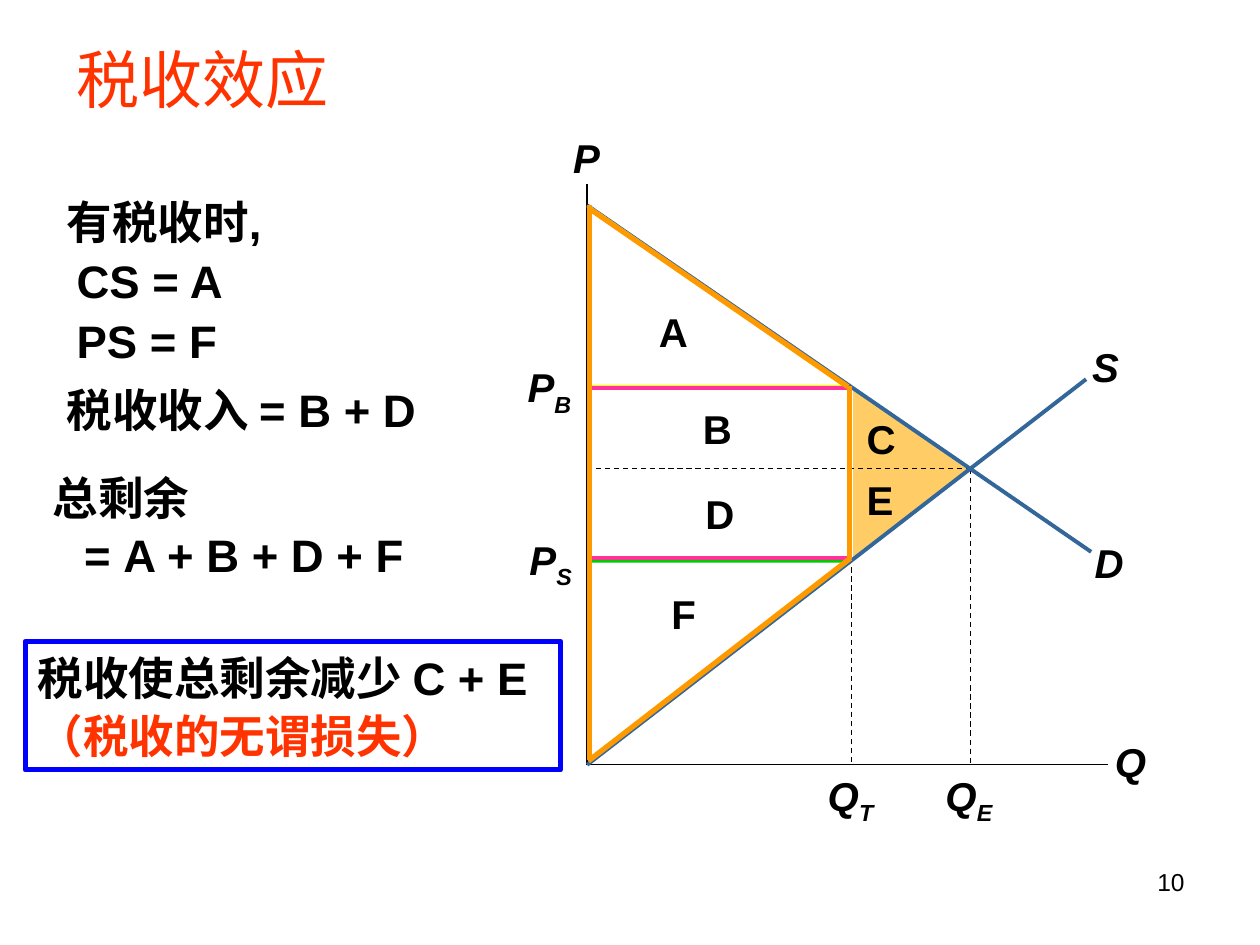
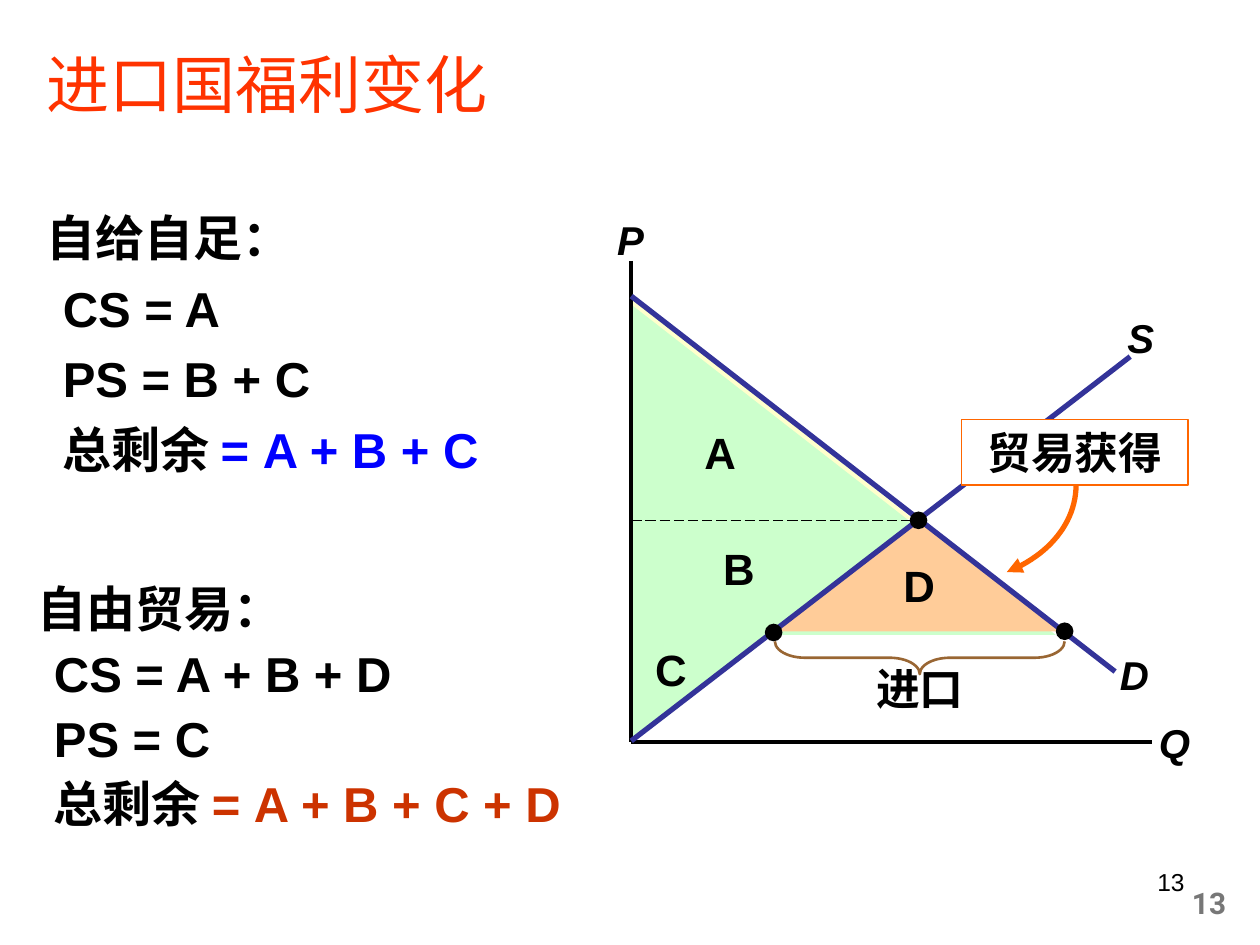
"""Build two welfare slides: the effects of a tax and the gains of an importing country."""
from lxml.etree import SubElement
from pptx import Presentation
from pptx.dml.color import RGBColor
from pptx.enum.dml import MSO_LINE
from pptx.enum.shapes import MSO_CONNECTOR, MSO_SHAPE
from pptx.enum.text import MSO_ANCHOR, PP_ALIGN
from pptx.oxml.ns import qn
from pptx.util import Inches, Pt

HUE = {
    "black": "000000", "white": "FFFFFF", "grey": "777777", "red": "FF3300",
    "rust": "CC3300", "blue": "0000FF", "steel": "336699", "navy": "333399",
    "gold": "FFCC66", "orange": "FF9900", "flame": "FF6600", "peach": "FFCC99",
    "yellow": "FFFF00", "cream": "FFFFCC", "green": "00CC00", "mint": "CCFFCC",
    "pink": "FF3399", "brown": "996633",
}
LATIN, HAN = "Arial", "Noto Sans CJK SC"
COLS, ROWS = 100, 75
deck = Presentation()
deck.slide_width, deck.slide_height = Inches(10), Inches(7.5)
CELL = deck.slide_width / COLS


def stroke(page, ends, hue="black", wide=0.75, dash=None):
    x1, y1, x2, y2 = [round(v * CELL) for v in ends]
    line = page.shapes.add_connector(MSO_CONNECTOR.STRAIGHT, x1, y1, x2, y2)
    line.line.color.rgb = RGBColor.from_string(HUE[hue])
    line.line.width = Pt(wide)
    if dash:
        line.line.dash_style = dash
    SubElement(line._element.spPr, qn("a:effectLst"))


def block(page, box, paras=(), size=23, kind=None, fill=None, edge=None, wide=0.75,
          bold=True, face=LATIN, align=PP_ALIGN.LEFT, mid=False, pad=(1, 0.5),
          lead=None, gap=0, hang=((0, 0),), flip=False):
    spot = [round(v * CELL) for v in box]
    if kind is None:
        form = page.shapes.add_textbox(*spot)
    else:
        form = page.shapes.add_shape(kind, *spot)
        form.shadow.inherit = False
    for hue, paint in ((fill, form.fill), (edge, form.line.fill)):
        if hue:
            paint.solid()
            paint.fore_color.rgb = RGBColor.from_string(HUE[hue])
        else:
            paint.background()
    if edge:
        form.line.width = Pt(wide)
    if flip:
        form._element.spPr.xfrm.set("flipV", "1")
    frame = form.text_frame
    frame.word_wrap = True
    frame.vertical_anchor = MSO_ANCHOR.MIDDLE if mid else MSO_ANCHOR.TOP
    frame.margin_left = frame.margin_right = round(pad[0] * CELL)
    frame.margin_top = frame.margin_bottom = round(pad[1] * CELL)
    for i, runs in enumerate(paras):
        para = frame.add_paragraph() if i else frame.paragraphs[0]
        para.alignment = align
        if lead:
            para.line_spacing = lead
        if i:
            para.space_before = Pt(gap)
        left, first = hang[min(i, len(hang) - 1)]
        props = para._p.get_or_add_pPr()
        props.set("marL", str(round(left * CELL)))
        props.set("indent", str(round(first * CELL)))
        for words, hue, *style in runs:
            if words.startswith("\n"):
                para.add_line_break()
            run = para.add_run()
            run.text = words.strip("\n")
            font = run.font
            font.name, font.size, font.bold = face, Pt(size), bold
            font.italic = "slant" in style
            font.color.rgb = RGBColor.from_string(HUE[hue])
            SubElement(run._r.rPr, qn("a:ea"), typeface=HAN)
            if "sub" in style:
                run._r.rPr.set("baseline", "-25000")
    return form


pages = []
for name, box, mid, pad, num in (
    ("税收效应", (5.1, 0, 90, 12.5), True, (1, 0.5), "10"),
    ("进口国福利变化", (2.7, 3.6, 89.8, 8.9), False, (1, 0), "13"),
):
    page = deck.slides.add_slide(deck.slide_layouts[6])
    block(page, box, [[(name, "red")]], 36, bold=False, face=HAN, mid=mid, pad=pad)
    block(page, (71.7, 68.3, 23.3, 5.2), [[(num, "black")]], 14, bold=False,
          align=PP_ALIGN.RIGHT)
    pages.append(page)
tax, trade = pages

# Tax
left, base, top = 46.6, 60.7, 16.3
cut, even = 67.5, 77
buy, mean, sell = 30.7, 37.2, 44.4

loss = block(tax, (65.6, 33, 13.3, 9.1), kind=MSO_SHAPE.ISOSCELES_TRIANGLE, fill="gold")
loss.rotation = 90
loss.adjustments[0] = 0.48

for ends in (
    (cut + 0.1, buy, cut + 0.1, base), (cut, sell, left, sell), (cut, buy, left, buy),
    (left, mean, even, mean), (even, mean, even, base),
):
    stroke(tax, ends, dash=MSO_LINE.DASH)
for ends in ((left, 14.6, left, base), (left, base, 87.9, base)):
    stroke(tax, ends)
for ends in ((left, top, 86.6, 43.8), (left, base, 86.2, 30.1)):
    stroke(tax, ends, "steel", 2.25)

for box, kind, edge, flip in (
    ((46.8, 16.5, 20.4, 14.2), MSO_SHAPE.RIGHT_TRIANGLE, "yellow", False),
    ((46.8, 44.5, 20.5, 15.8), MSO_SHAPE.RIGHT_TRIANGLE, "green", True),
    ((46.8, 30.8, 20.7, 13.5), MSO_SHAPE.RECTANGLE, "pink", False),
):
    block(tax, box, kind=kind, edge=edge, wide=2.25, flip=flip)
for ends in (
    (46.8, top, 46.8, 60.3), (46.7, 60.4, cut, 44.3),
    (67.4, 30.6, 67.4, sell), (46.7, 16.5, 67.3, buy),
):
    stroke(tax, ends, "orange", 3)

for x, y, word in (
    (51.3, 23.9, "A"), (54.8, 31.6, "B"), (67.8, 32.4, "C"),
    (55, 38.3, "D"), (67.8, 37.2, "E"), (52.2, 46.3, "F"),
):
    block(tax, (x, y, 4.1, 4.9), [[(word, "black")]], align=PP_ALIGN.CENTER)
for x, y, wide, word, sub in (
    (40.8, 42, 5.8, "P", "S"), (40.7, 28.3, 5.8, "P", "B"),
    (73.7, base, 6.4, "Q", "E"), (64.3, base, 6.4, "Q", "T"),
):
    block(tax, (x, y, wide, 5.4),
          [[(word, "black", "slant"), (sub, "black", "slant", "sub")]],
          align=PP_ALIGN.CENTER)

for box, words, hang in (
    ((4.3, 14.7, 24.6, 5.9), ["有税收时,"], (0, 0)),
    ((5.1, 19.4, 29.4, 5.9), ["CS = A"], (0, 0)),
    ((5.1, 24.1, 28.2, 5.9), ["PS = F"], (0, 0)),
    ((4.3, 29.6, 32.2, 6.7), ["税收收入 = B + D"], (0, 0)),
    ((3.2, 36.6, 32.4, 12.4), ["总剩余", "\n= A + B + D + F"], (2.5, -2.5)),
):
    block(tax, box, [[(word, "black") for word in words]], 26, lead=1.05, hang=(hang,))
block(tax, (2, 50.9, 42.5, 10.2),
      [[("税收使总剩余减少 C + E", "black"), ("\n（税收的无谓损失）", "red")]],
      26, kind=MSO_SHAPE.RECTANGLE, edge="blue", wide=3, lead=1.05)

# Trade
left, base = 50.1, 58.9
block(trade, (90.8, 69.7, 7.5, 4), [[("13", "grey")]], 17, face="Roboto",
      align=PP_ALIGN.RIGHT)
for box, kind, fill, flip in (
    ((50.2, 41.3, 22.4, 17.3), MSO_SHAPE.RIGHT_TRIANGLE, "cream", True),
    ((50.2, 23.7, 22.3, 17.5), MSO_SHAPE.RIGHT_TRIANGLE, "cream", False),
    ((50, 24.1, 33.8, 26.3), MSO_SHAPE.RIGHT_TRIANGLE, "mint", False),
    ((61.5, 41.2, 22.8, 8.9), MSO_SHAPE.ISOSCELES_TRIANGLE, "peach", False),
    ((50.1, 50.2, 10.9, 8.5), MSO_SHAPE.RIGHT_TRIANGLE, "mint", True),
):
    block(trade, box, kind=kind, fill=fill, flip=flip)

for ends, hue, wide in (
    ((left, 20.7, left, base), "black", 2),
    ((left, base, 91.4, base), "black", 2),
    ((left, 23.5, 88.5, 53.3), "navy", 3),
    ((left, 58.8, 89.7, 28.3), "navy", 3),
):
    stroke(trade, ends, hue, wide)
stroke(trade, (left, 41.3, 73, 41.3), dash=MSO_LINE.LONG_DASH)
for x, y in ((60.7, 49.5), (72.2, 40.6), (83.8, 49.4)):
    block(trade, (x, y, 1.4, 1.4), kind=MSO_SHAPE.OVAL, fill="black")

for x, y, word in (
    (54.8, 33.8, "A"), (56.3, 43, "B"), (70.6, 44.3, "D"), (50.9, 51, "C"),
):
    block(trade, (x, y, 4.7, 4.2), [[(word, "black")]], 25, align=PP_ALIGN.CENTER,
          mid=True, pad=(0, 0))

bend = ((79.9, 45.4), (83.2, 44.1), (85.4, 41.5), (85.4, 38.5))
STEPS = 24
curve = []
for step in range(STEPS + 1):
    t = step / STEPS
    share = ((1 - t) ** 3, 3 * t * (1 - t) ** 2, 3 * t * t * (1 - t), t ** 3)
    curve.append([round(CELL * sum(s * p[axis] for s, p in zip(share, bend)))
                  for axis in (0, 1)])
pen = trade.shapes.build_freeform(*curve[0])
pen.add_line_segments(curve[1:], close=False)
arrow = pen.convert_to_shape()
arrow.shadow.inherit = False
arrow.fill.background()
arrow.line.color.rgb = RGBColor.from_string(HUE["flame"])
arrow.line.width = Pt(3)
SubElement(arrow.line._get_or_add_ln(), qn("a:headEnd"), type="triangle")

block(trade, (76.3, 33.3, 18, 5.2), [[("贸易获得", "black")]], 25,
      kind=MSO_SHAPE.RECTANGLE, fill="white", edge="flame",
      align=PP_ALIGN.CENTER, mid=True)
brace = block(trade, (71.7, 40.7, 2.6, 23), kind=MSO_SHAPE.LEFT_BRACE,
              edge="brown", wide=1.5)
brace.rotation = 270
brace.adjustments[0] = 0.92
block(trade, (66.1, 52, 13.8, 5.2), [[("进口", "black")]], 25, align=PP_ALIGN.CENTER)

for box, lead, head, cons, prod, total, hue in (
    ((2.7, 15.5, 41, 24.4), 1.1, "自给自足：", "CS = A", "PS = B + C",
     "= A + B + C", "blue"),
    ((2, 45.4, 45.7, 22.5), 1.0, "自由贸易：", "CS = A + B + D", "PS = C",
     "= A + B + C + D", "rust"),
):
    block(trade, box, [[(head, "black")], [(cons, "black")], [(prod, "black")],
                       [("总剩余 ", "black"), (total, hue)]],
          28, lead=lead, gap=3.5, hang=((3.8, -3.8), (7.6, -6.3)))

for page, marks in (
    (tax, ((44.5, 10.1, "P"), (87.5, 58, "Q"), (85.9, 42.2, "D"), (85.7, 26.7, "S"))),
    (trade, ((48, 16.6, "P"), (91, 56.5, "Q"), (87.9, 51.1, "D"), (88.5, 24.4, "S"))),
):
    for x, y, word in marks:
        block(page, (x, y, 4, 4.9), [[(word, "black", "slant")]], align=PP_ALIGN.CENTER)

deck.save("out.pptx")
